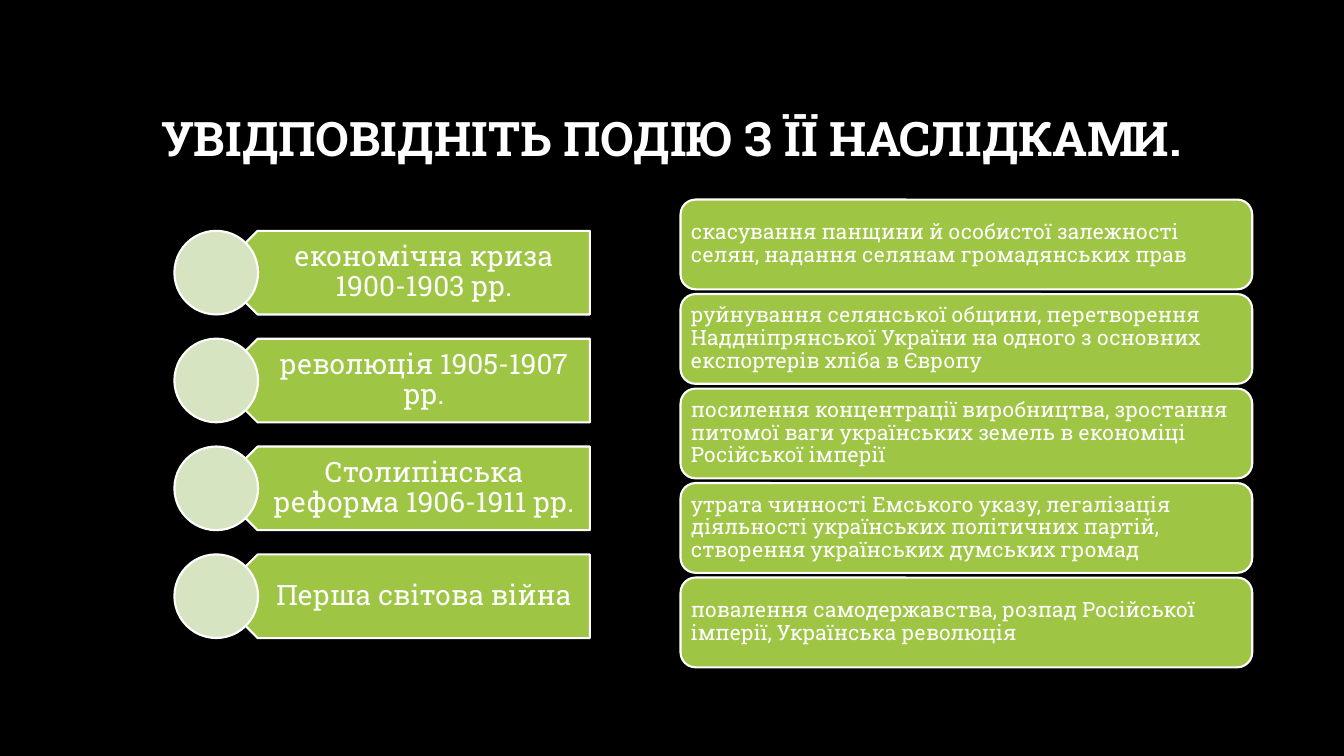
from dataclasses import dataclass

from pptx import Presentation
from pptx.dml.color import RGBColor
from pptx.enum.shapes import MSO_SHAPE
from pptx.enum.text import MSO_ANCHOR, MSO_AUTO_SIZE, PP_ALIGN
from pptx.shapes.autoshape import Shape
from pptx.shapes.shapetree import GroupShapes
from pptx.text.text import TextFrame
from pptx.util import Inches, Pt

FONT = "Roboto Slab"
COLORS = {"back": "000000", "text": "FFFFFF", "green": "9EC544", "pale": "D6E4C1"}


@dataclass
class Event:
    text: str
    top: float


@dataclass
class Result:
    text: str
    top: float


EVENTS = [Event(text, 2.29 + 1.07 * i) for i, text in enumerate([
    "економічна криза 1900-1903 рр.",
    "революція 1905-1907 рр.",
    "Столипінська реформа 1906-1911 рр.",
    "Перша світова війна",
])]
RESULTS = [Result(text, 1.98 + 0.9375 * i) for i, text in enumerate([
    "скасування панщини й особистої залежності селян, "
    "надання селянам громадянських прав",
    "руйнування селянської общини, перетворення Наддніпрянської України "
    "на одного з основних експортерів хліба в Європу",
    "посилення концентрації виробництва, зростання питомої ваги "
    "українських земель в економіці Російської імперії",
    "утрата чинності Емського указу, легалізація діяльності українських "
    "політичних партій, створення українських думських громад",
    "повалення самодержавства, розпад Російської імперії, Українська революція",
])]


def color(name: str) -> RGBColor:
    return RGBColor.from_string(COLORS[name])


def write(frame: TextFrame, text: str, size: int, align: PP_ALIGN,
          left: float = 0.1, right: float = 0.1, bold: bool = False) -> None:
    frame.text = text
    frame.word_wrap = True
    frame.auto_size = MSO_AUTO_SIZE.NONE
    frame.vertical_anchor = MSO_ANCHOR.MIDDLE
    frame.margin_left, frame.margin_right = Inches(left), Inches(right)
    line = frame.paragraphs[0]
    line.alignment = align
    line.line_spacing = 0.9
    font = line.runs[0].font
    font.name, font.size, font.bold = FONT, Pt(size), bold
    font.color.rgb = color("text")


def block(shapes: GroupShapes, kind: MSO_SHAPE, left: float, top: float,
          width: float, height: float, fill: str) -> Shape:
    shape = shapes.add_shape(kind, Inches(left), Inches(top), Inches(width), Inches(height))
    shape.shadow.inherit = False
    shape.fill.solid()
    shape.fill.fore_color.rgb = color(fill)
    shape.line.color.rgb = color("text")
    shape.line.width = Pt(1.5)
    return shape


def draw_event(shapes: GroupShapes, event: Event) -> None:
    tall = 0.83
    arrow = block(shapes, MSO_SHAPE.PENTAGON, 2.14, event.top, 3.71, tall, "green")
    arrow.rotation = 180
    # The arrow is turned around, so its label has its own box
    label = shapes.add_textbox(Inches(2.35), Inches(event.top), Inches(3.51), Inches(tall))
    write(label.text_frame, event.text, 20, PP_ALIGN.CENTER, 0.36, 0.16)
    block(shapes, MSO_SHAPE.OVAL, 1.73, event.top, tall, tall, "pale")


def draw_result(shapes: GroupShapes, result: Result) -> None:
    card = block(shapes, MSO_SHAPE.ROUNDED_RECTANGLE, 6.75, result.top, 5.67, 0.89, "green")
    write(card.text_frame, result.text, 15, PP_ALIGN.LEFT, 0.06, 0.06)


def main() -> None:
    deck = Presentation()
    deck.slide_width, deck.slide_height = Inches(13.33), Inches(7.5)
    slide = deck.slides.add_slide(deck.slide_layouts[5])
    slide.background.fill.solid()
    slide.background.fill.fore_color.rgb = color("back")

    # Title
    title = slide.shapes.title
    title.left, title.top = Inches(1), Inches(0.67)
    title.width, title.height = Inches(11.32), Inches(1.45)
    write(title.text_frame, "УВІДПОВІДНІТЬ ПОДІЮ З ЇЇ НАСЛІДКАМИ.", 34,
          PP_ALIGN.CENTER, bold=True)

    # Events on the left
    left = slide.shapes.add_group_shape().shapes
    for event in EVENTS:
        draw_event(left, event)

    # Results on the right
    right = slide.shapes.add_group_shape().shapes
    for result in RESULTS:
        draw_result(right, result)

    deck.save("out.pptx")


if __name__ == "__main__":
    main()
